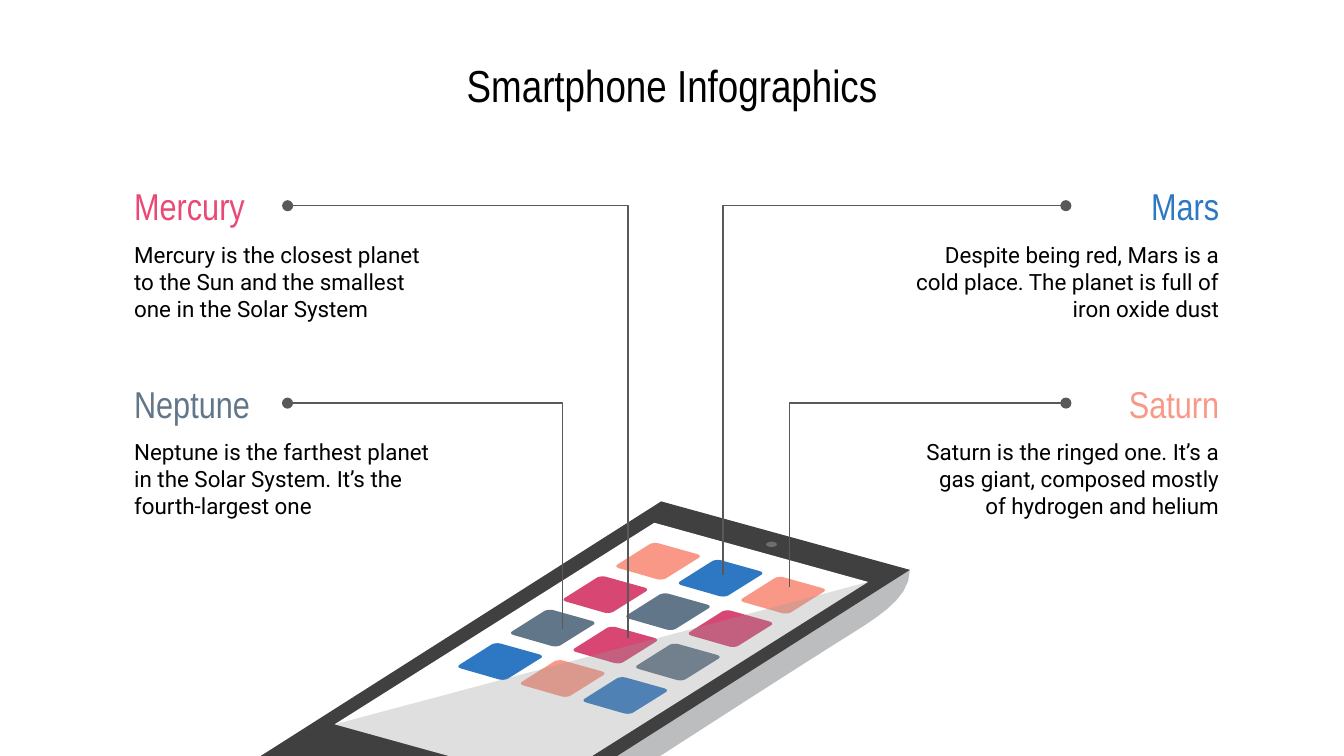
from dataclasses import dataclass

from lxml.etree import SubElement
from pptx import Presentation
from pptx.dml.color import RGBColor
from pptx.enum.shapes import MSO_CONNECTOR as Connector, MSO_SHAPE as Shape
from pptx.enum.text import MSO_ANCHOR as Anchor, MSO_AUTO_SIZE as AutoSize, PP_ALIGN as Align
from pptx.oxml.ns import qn
from pptx.util import Pt


@dataclass(frozen=True)
class Theme:
    title_font: str = "Arial Narrow"
    body_font: str = "Roboto"
    title_size: int = 24
    heading_size: int = 20
    body_size: int = 12
    text: str = "000000"
    rose: str = "E94974"
    pink: str = "D84774"
    blue: str = "2E77C3"
    slate: str = "617688"
    coral: str = "FA9887"
    leader: str = "595959"
    side: str = "BBBDBF"
    front: str = "404041"
    screen: str = "FFFFFF"
    camera: str = "6D6E70"
    glare: str = "999999"


THEME = Theme()

# Outlines: a pair is a corner, six numbers are a Bézier curve
SIDE = [(360, 288.7), (139, 405.4),
        (169.2, 428.4, 212.4, 440.6, 246.2, 450),
        (251.3, 451.4, 255.6, 452.9, 260.6, 452.9),
        (269.3, 453.6, 279.4, 450.7, 292.3, 444.2),
        (351.4, 406.8, 387.4, 383, 446.4, 345.6),
        (468, 331.9, 487.4, 321.8, 487.4, 305.3)]
FRONT = [(354.2, 268.6), (139, 405.4), (272.2, 442.1), (487.4, 305.3)]
SCREEN = [(350.6, 280.1), (179.3, 388.1), (293.8, 419.8), (465.1, 311.8)]
ICON = [(23, 0.2), (43.8, 6),
        (45.4, 6.6, 45.4, 7.3, 44.5, 8), (27.4, 18.7),
        (26.2, 19.6, 24, 19.8, 22.2, 19.4), (2, 13.6),
        (0.1, 13, 0, 12.2, 1.2, 11.4), (18, 0.8),
        (19.2, 0, 21.5, -0.2, 23, 0.2)]

# App icons: skewed grid
ICON_ORIGIN = (329.8, 290.9)
COLUMN_STEP = (33.5, 9.1)
ROW_STEP = (-28.2, 17.9)
ICON_COLOURS = [
    (THEME.coral, THEME.blue, THEME.coral),
    (THEME.pink, THEME.slate, THEME.pink),
    (THEME.slate, THEME.pink, THEME.slate),
    (THEME.blue, THEME.coral, THEME.blue),
]

# Callouts: name, colour, row, on the right, leader start, text
CALLOUTS = [
    ("Saturn", THEME.coral, 1, True, (422.9, 314.6),
     "Saturn is the ringed one. It’s a gas giant, composed mostly of hydrogen and helium"),
    ("Mars", THEME.blue, 0, True, (387.4, 308.2),
     "Despite being red, Mars is a cold place. The planet is full of iron oxide dust"),
    ("Neptune", THEME.slate, 1, False, (301.4, 337),
     "Neptune is the farthest planet in the Solar System. It’s the fourth-largest one"),
    ("Mercury", THEME.rose, 0, False, (336.4, 342),
     "Mercury is the closest planet to the Sun and the smallest one in the Solar System"),
]
LEFT_EDGE, RIGHT_EDGE = 64.8, 660.3
HEADING_WIDTH, BODY_WIDTH = 89.3, 177.1
FIRST_ROW, ROW_PITCH = 97.9, 105.8


def paint(shape, colour):
    shape.fill.solid()
    shape.fill.fore_color.rgb = RGBColor.from_string(colour)
    shape.line.fill.background()
    shape.shadow.inherit = False


def flatten(outline, steps=8):
    points = []
    for part in outline:
        if len(part) == 2:
            points.append(part)
            continue
        controls = [points[-1], part[:2], part[2:4], part[4:]]
        for step in range(1, steps + 1):
            t = step / steps
            weights = ((1 - t) ** 3, 3 * t * (1 - t) ** 2, 3 * t * t * (1 - t), t ** 3)
            points.append(tuple(sum(w * c[axis] for w, c in zip(weights, controls))
                                for axis in (0, 1)))
    return points


def add_outline(page, outline, colour, offset=(0, 0)):
    points = [(Pt(x + offset[0]), Pt(y + offset[1])) for x, y in flatten(outline)]
    builder = page.shapes.build_freeform(*points[0], scale=1.0)
    builder.add_line_segments(points[1:], close=True)
    shape = builder.convert_to_shape()
    paint(shape, colour)
    return shape


def write(box, text, font, size, colour, align):
    frame = box.text_frame
    frame.text = text
    frame.word_wrap = True
    frame.auto_size = AutoSize.NONE
    frame.vertical_anchor = Anchor.MIDDLE
    frame.margin_left = frame.margin_right = Pt(7.2)
    frame.margin_top = frame.margin_bottom = Pt(7.2)
    para = frame.paragraphs[0]
    para.alignment = align
    span = para.runs[0]
    span.font.name = font
    span.font.size = Pt(size)
    span.font.color.rgb = RGBColor.from_string(colour)


def add_title(page, text):
    title = page.shapes.title
    title.left, title.top, title.width, title.height = Pt(167.4), Pt(30.2), Pt(385.2), Pt(30.2)
    write(title, text, THEME.title_font, THEME.title_size, THEME.text, Align.CENTER)


def add_leader(page, start, end):
    leader = page.shapes.add_connector(Connector.ELBOW, *map(Pt, start + end))
    leader.line.color.rgb = RGBColor.from_string(THEME.leader)
    leader.line.width = Pt(0.75)
    # Bend right at the start, so that the leader rises before it turns
    properties = leader._element.spPr
    adjustments = properties.find(qn("a:prstGeom")).get_or_add_avLst()
    SubElement(adjustments, qn("a:gd"), name="adj1", fmla="val 0")
    SubElement(properties.find(qn("a:ln")), qn("a:tailEnd"), type="oval")
    SubElement(properties, qn("a:effectLst"))


def add_phone(page):
    add_outline(page, SIDE, THEME.side)
    add_outline(page, FRONT, THEME.front)
    add_outline(page, SCREEN, THEME.screen)
    camera = page.shapes.add_shape(Shape.OVAL, Pt(410.4), Pt(290.2), Pt(5.8), Pt(2.9))
    paint(camera, THEME.camera)
    for row, colours in enumerate(ICON_COLOURS):
        for column, colour in enumerate(colours):
            offset = [origin + column * across + row * down for origin, across, down
                      in zip(ICON_ORIGIN, COLUMN_STEP, ROW_STEP)]
            add_outline(page, ICON, colour, offset)
    # Translucent reflection over the lower half of the screen
    glare = add_outline(page, SCREEN[1:], THEME.glare)
    colour = glare._element.spPr.find(qn("a:solidFill"))[0]
    SubElement(colour, qn("a:alpha"), val="31000")


def add_callout(page, name, colour, row, on_right, start, text):
    top = FIRST_ROW + row * ROW_PITCH
    align = Align.RIGHT if on_right else Align.LEFT
    blocks = [
        (text, top + 32.4, BODY_WIDTH, 41, THEME.body_font, THEME.body_size, THEME.text),
        (name, top, HEADING_WIDTH, 24.5, THEME.title_font, THEME.heading_size, colour),
    ]
    for words, y, width, height, font, size, ink in blocks:
        x = RIGHT_EDGE - width if on_right else LEFT_EDGE
        box = page.shapes.add_textbox(Pt(x), Pt(y), Pt(width), Pt(height))
        write(box, words, font, size, ink, align)
    dot_x = RIGHT_EDGE - HEADING_WIDTH if on_right else LEFT_EDGE + HEADING_WIDTH
    add_leader(page, start, (dot_x, top + 12.3))


def main():
    deck = Presentation()
    deck.slide_width, deck.slide_height = Pt(720), Pt(405)
    page = deck.slides.add_slide(deck.slide_layouts[5])
    add_title(page, "Smartphone Infographics")
    add_phone(page)
    for callout in CALLOUTS:
        add_callout(page, *callout)
    deck.save("out.pptx")


if __name__ == "__main__":
    main()
